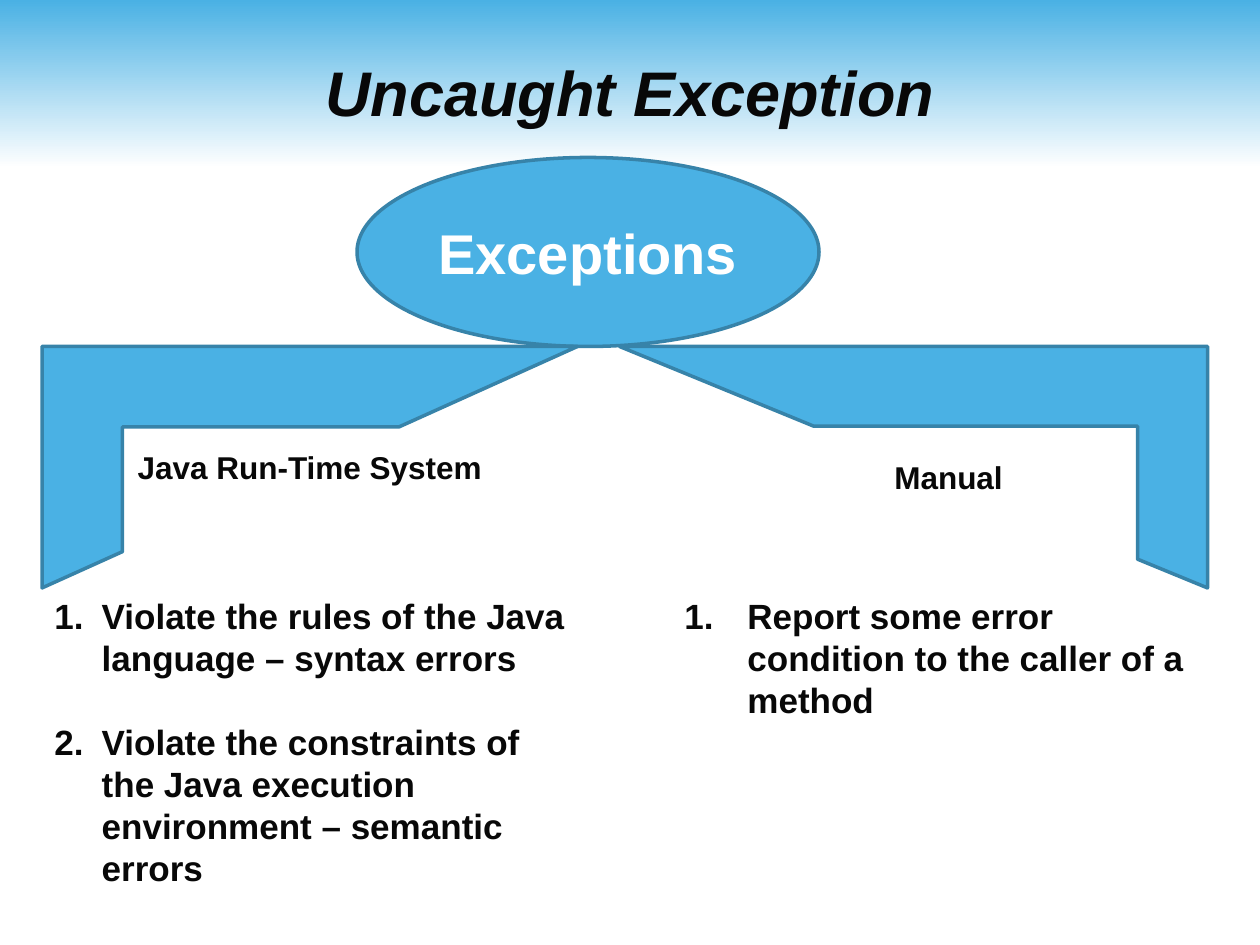
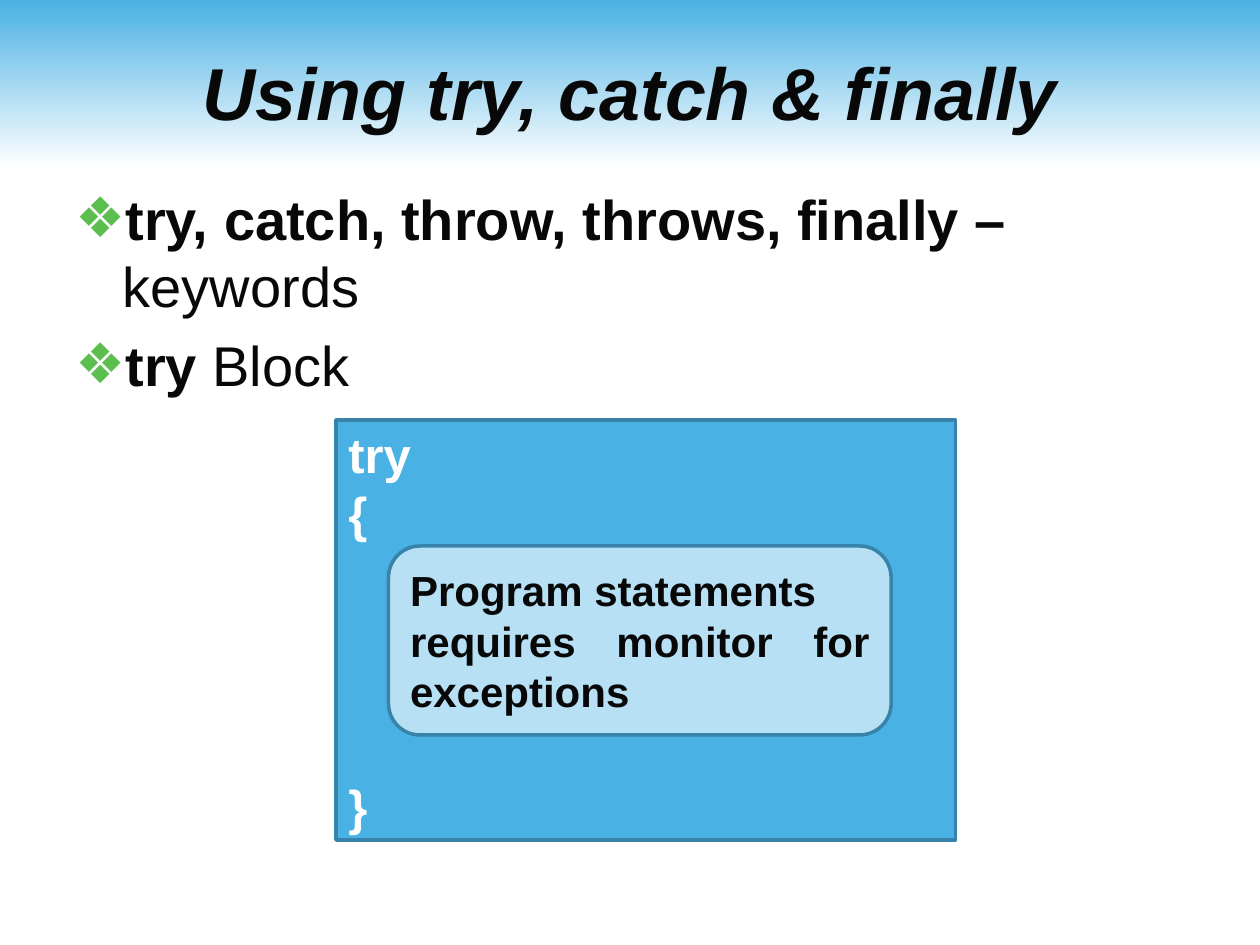
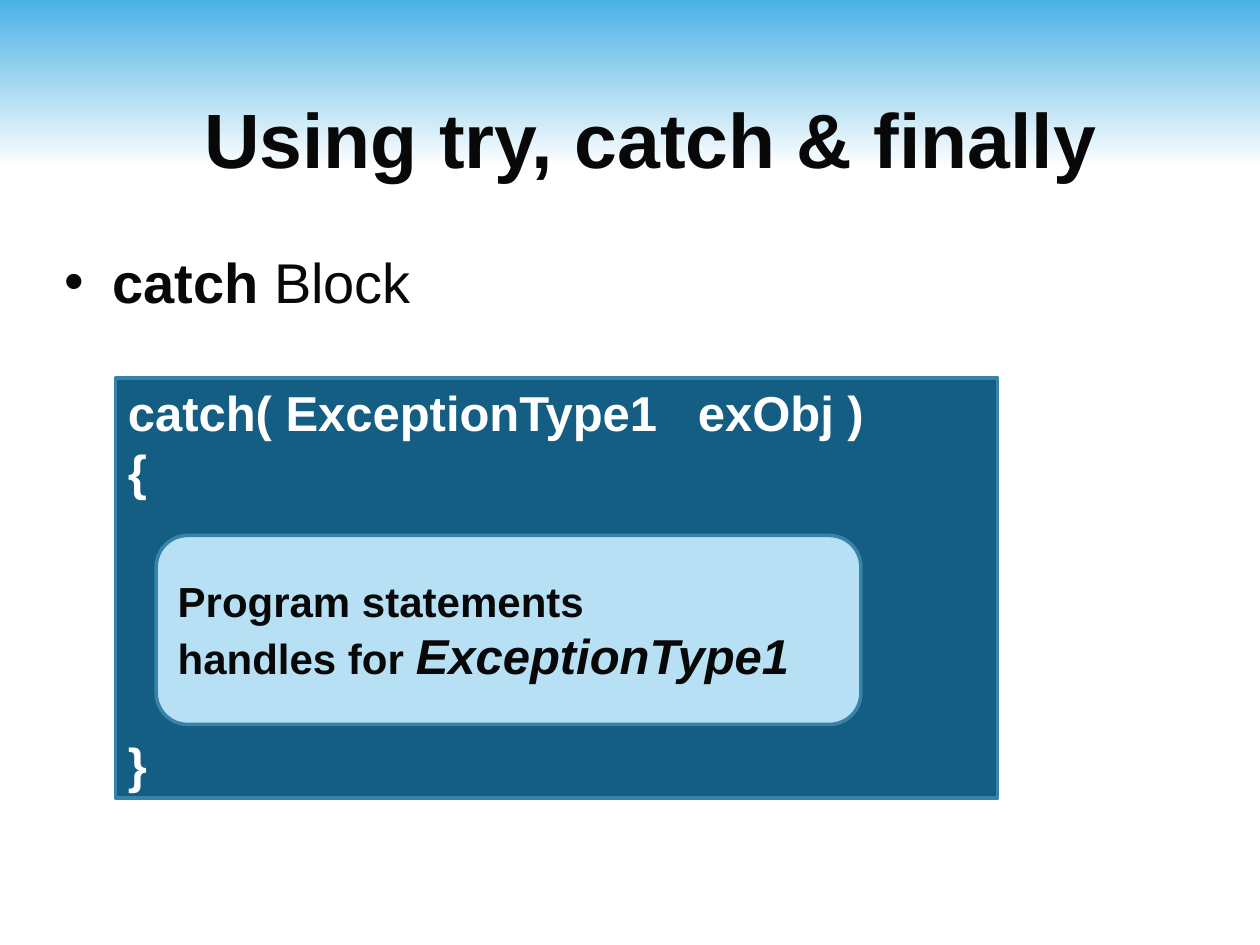
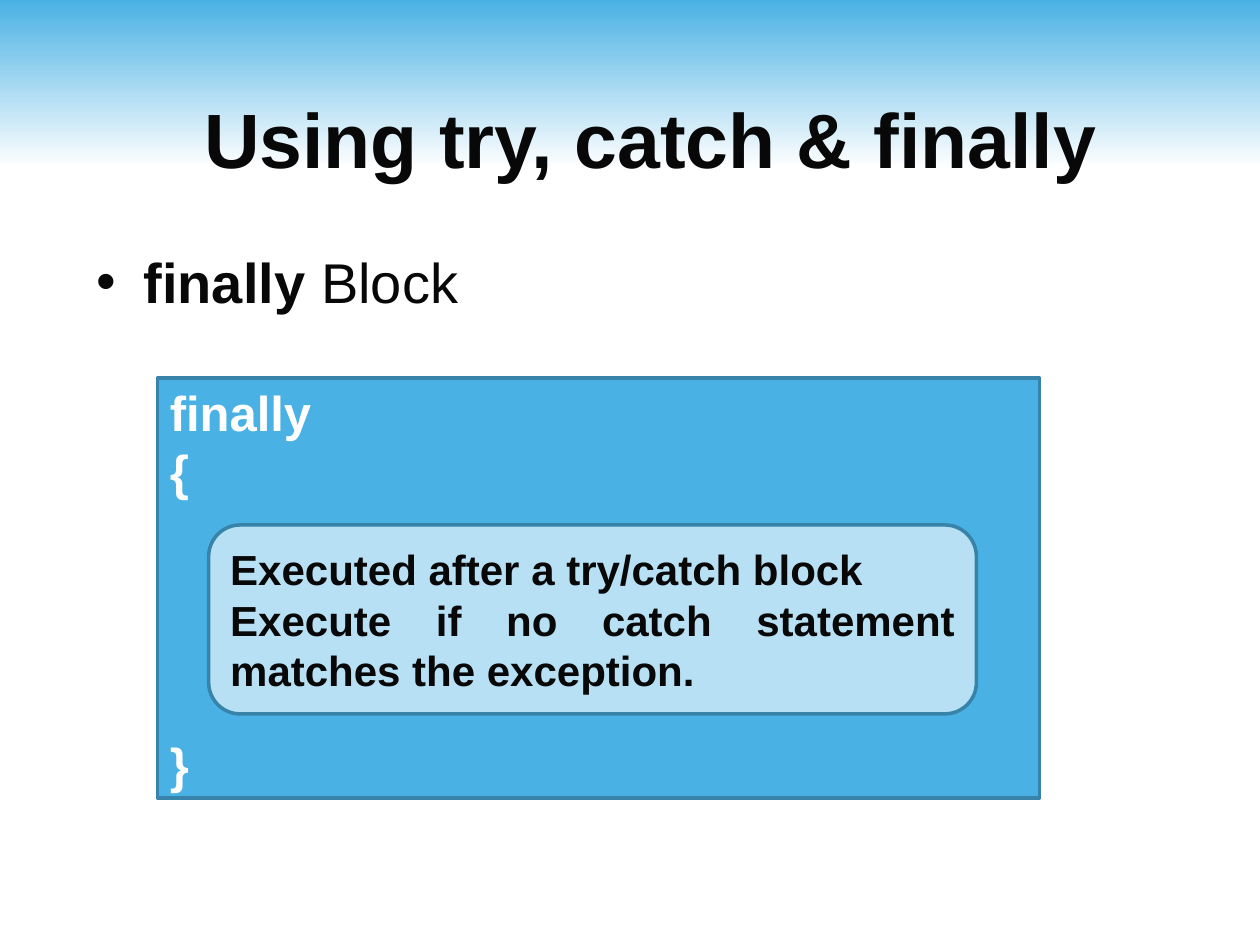
from dataclasses import dataclass
from typing import Any, Optional, Sequence

from lxml import etree
from pptx import Presentation
from pptx import util as u
from pptx.dml import color
from pptx.enum import shapes, text
from pptx.oxml import ns

PX = 9525  # EMU per px, 96 px to the inch
FONT = "Arial"
COLORS = {
    "sky": "4AB1E4",
    "pale": "B7E0F4",
    "deep": "145E83",
    "edge": "3783A9",
    "ink": "080808",
    "white": "FFFFFF",
    "bullet": "5BBE4E",
}
CENTER, JUSTIFY, LEFT = text.PP_ALIGN.CENTER, text.PP_ALIGN.JUSTIFY, text.PP_ALIGN.LEFT
MIDDLE, TOP = text.MSO_ANCHOR.MIDDLE, text.MSO_ANCHOR.TOP
SHAPE = shapes.MSO_SHAPE
BRACE_GAP = 134  # points left free for the inner box of a code block
HANG = 36


@dataclass(frozen=True)
class Box:
    x: int
    y: int
    w: int
    h: int

    def emu(self) -> list[u.Emu]:
        return [u.Emu(v * PX) for v in (self.x, self.y, self.w, self.h)]


@dataclass(frozen=True)
class Run:
    text: str
    bold: bool = True
    italic: bool = False
    size: Optional[int] = None


@dataclass(frozen=True)
class Para:
    runs: Sequence[Run]
    before: float = 0


@dataclass(frozen=True)
class CodeBlock:
    title: Box
    heading: str
    keyword: str
    lead: Box
    head: str
    outer: Box
    fill: str
    inner: Box
    body: Sequence[Para]
    align: Any


def line(words: str, before: float = 0) -> Para:
    return Para([Run(words)], before)


def rgb(name: str) -> color.RGBColor:
    return color.RGBColor.from_string(COLORS[name])


# Text
def add_bullet(p: Any, mark: str, hang: int, tint: Optional[str]) -> None:
    ppr = p._p.get_or_add_pPr()
    ppr.set("marL", str(hang * PX))
    ppr.set("indent", str(-hang * PX))
    if tint:
        clr = etree.SubElement(ppr, ns.qn("a:buClr"))
        etree.SubElement(clr, ns.qn("a:srgbClr"), val=COLORS[tint])
    if mark == "1.":
        etree.SubElement(ppr, ns.qn("a:buFont"), typeface="+mj-lt")
        etree.SubElement(ppr, ns.qn("a:buAutoNum"), type="arabicPeriod")
    else:
        etree.SubElement(ppr, ns.qn("a:buFont"), typeface=FONT)
        etree.SubElement(ppr, ns.qn("a:buChar"), char=mark)


def write(sp: Any, paras: Sequence[Para], *, size: int, tint: str = "ink",
          align: Any = LEFT, anchor: Any = TOP, mark: str = "",
          hang: int = HANG, mark_tint: Optional[str] = None) -> None:
    tf = sp.text_frame
    tf.word_wrap = True
    tf.vertical_anchor = anchor
    for i, para in enumerate(paras):
        p = tf.paragraphs[0] if i == 0 else tf.add_paragraph()
        if mark:
            add_bullet(p, mark, hang, mark_tint)
        p.alignment = align
        if para.before:
            p.space_before = u.Pt(para.before)
        for run in para.runs:
            r = p.add_run()
            r.text = run.text
            f = r.font
            f.name, f.size = FONT, u.Pt(run.size or size)
            f.bold, f.italic = run.bold, run.italic
            f.color.rgb = rgb(tint)


def add_text(slide: Any, box: Box, paras: Sequence[Para], *,
             grow: bool = False, **fmt: Any) -> None:
    sp = slide.shapes.add_textbox(*box.emu())
    write(sp, paras, **fmt)
    if grow:
        sp.text_frame.auto_size = text.MSO_AUTO_SIZE.SHAPE_TO_FIT_TEXT


# Shapes
def add_shape(parent: Any, kind: Any, box: Box, fill: str) -> Any:
    sp = parent.shapes.add_shape(kind, *box.emu())
    sp.shadow.inherit = False
    sp.fill.solid()
    sp.fill.fore_color.rgb = rgb(fill)
    sp.line.color.rgb = rgb("edge")
    sp.line.width = u.Pt(2)
    return sp


def add_band(prs: Any, slide: Any) -> None:
    """Put the gradient band behind everything on the slide master."""
    sp = slide.shapes.add_shape(SHAPE.RECTANGLE, *Box(0, 0, 960, 128).emu())
    sp.shadow.inherit = False
    sp.line.fill.background()
    sp.fill.gradient()
    sp.fill.gradient_angle = 270
    for stop, name, place in zip(sp.fill.gradient_stops, ("sky", "white"), (0, 1)):
        stop.color.rgb = rgb(name)
        stop.position = place
    prs.slide_master.shapes._spTree.insert(2, sp._element)


def add_slide(prs: Any, title: str, box: Box, size: int, italic: bool) -> Any:
    slide = prs.slides.add_slide(prs.slide_layouts[5])
    sp = slide.shapes.title
    sp.left, sp.top, sp.width, sp.height = box.emu()
    write(sp, [Para([Run(title, italic=italic)])], size=size,
          align=CENTER, anchor=MIDDLE)
    return slide


def add_code(slide: Any, block: CodeBlock) -> None:
    group = slide.shapes.add_group_shape()
    outer = add_shape(group, SHAPE.RECTANGLE, block.outer, block.fill)
    write(outer, [line(block.head), line("{"), line("}", BRACE_GAP)],
          size=28, tint="white", anchor=MIDDLE)
    inner = add_shape(group, SHAPE.ROUNDED_RECTANGLE, block.inner, "pale")
    write(inner, block.body, size=24, align=block.align, anchor=MIDDLE)


# Slide content
TITLE = Box(48, 24, 864, 91)
LOW_TITLE = Box(64, 45, 864, 120)
BLOCK_HEADING = "Using try, catch & finally"

TRY = CodeBlock(
    TITLE, BLOCK_HEADING, "try", Box(48, 136, 864, 528), "try",
    Box(256, 320, 472, 320), "sky", Box(296, 416, 383, 144),
    [line("Program statements"), line("requires monitor for exceptions")], JUSTIFY)
CATCH = CodeBlock(
    LOW_TITLE, BLOCK_HEADING, "catch", Box(40, 184, 864, 475),
    "catch( ExceptionType1   exObj )",
    Box(88, 288, 672, 320), "deep", Box(119, 408, 537, 144),
    [line("Program statements"),
     Para([Run("handles for "), Run("ExceptionType1", italic=True, size=28)])], LEFT)
FINALLY = CodeBlock(
    LOW_TITLE, BLOCK_HEADING, "finally", Box(64, 184, 864, 475), "finally",
    Box(120, 288, 672, 320), "sky", Box(159, 400, 585, 144),
    [line("Executed after a try/catch block"),
     line("Execute if no catch statement matches the exception.")], JUSTIFY)


def build_overview(prs: Any) -> None:
    slide = add_slide(prs, "Uncaught Exception", TITLE, 36, True)
    add_band(prs, slide)

    # Root and its two branches
    root = add_shape(slide, SHAPE.OVAL, Box(272, 120, 352, 144), "sky")
    write(root, [line("Exceptions")], size=32, tint="white",
          align=CENTER, anchor=MIDDLE)
    system = add_shape(slide, SHAPE.HALF_FRAME, Box(32, 264, 408, 184), "sky")
    write(system, [line("Java Run-Time System")], size=18,
          align=CENTER, anchor=MIDDLE)
    manual = add_shape(slide, SHAPE.HALF_FRAME, Box(604, 132, 184, 448), "sky")
    manual.rotation = 90
    manual.adjustments[0], manual.adjustments[1] = 0.29, 0.33
    add_text(slide, Box(672, 344, 192, 38), [line("Manual")], size=18, grow=True)

    # Causes under each branch
    add_text(slide, Box(32, 448, 408, 236), [
        line("Violate the rules of the Java language – syntax errors"),
        line("Violate the constraints of the Java execution environment"
             " – semantic errors", 24),
    ], size=20, mark="1.", grow=True)
    add_text(slide, Box(512, 448, 400, 107),
             [line("Report some error condition to the caller of a method")],
             size=20, mark="1.", hang=48, grow=True)


def build_block(prs: Any, block: CodeBlock) -> None:
    first = block is TRY
    slide = add_slide(prs, block.heading, block.title, 42 if first else 44, first)
    lead = Para([Run(block.keyword), Run(" Block", bold=False)], 6.4 if first else 0)
    if first:
        keywords = Para([Run("try, catch, throw, throws, finally – "),
                         Run("keywords", bold=False)])
        add_text(slide, block.lead, [keywords, lead], size=32,
                 mark="❖", mark_tint="bullet")
    else:
        add_text(slide, block.lead, [lead], size=32, mark="•")
    add_code(slide, block)


def main() -> None:
    prs = Presentation()
    prs.slide_width, prs.slide_height = u.Emu(960 * PX), u.Emu(720 * PX)
    build_overview(prs)
    for block in (TRY, CATCH, FINALLY):
        build_block(prs, block)
    prs.save("out.pptx")


if __name__ == "__main__":
    main()
